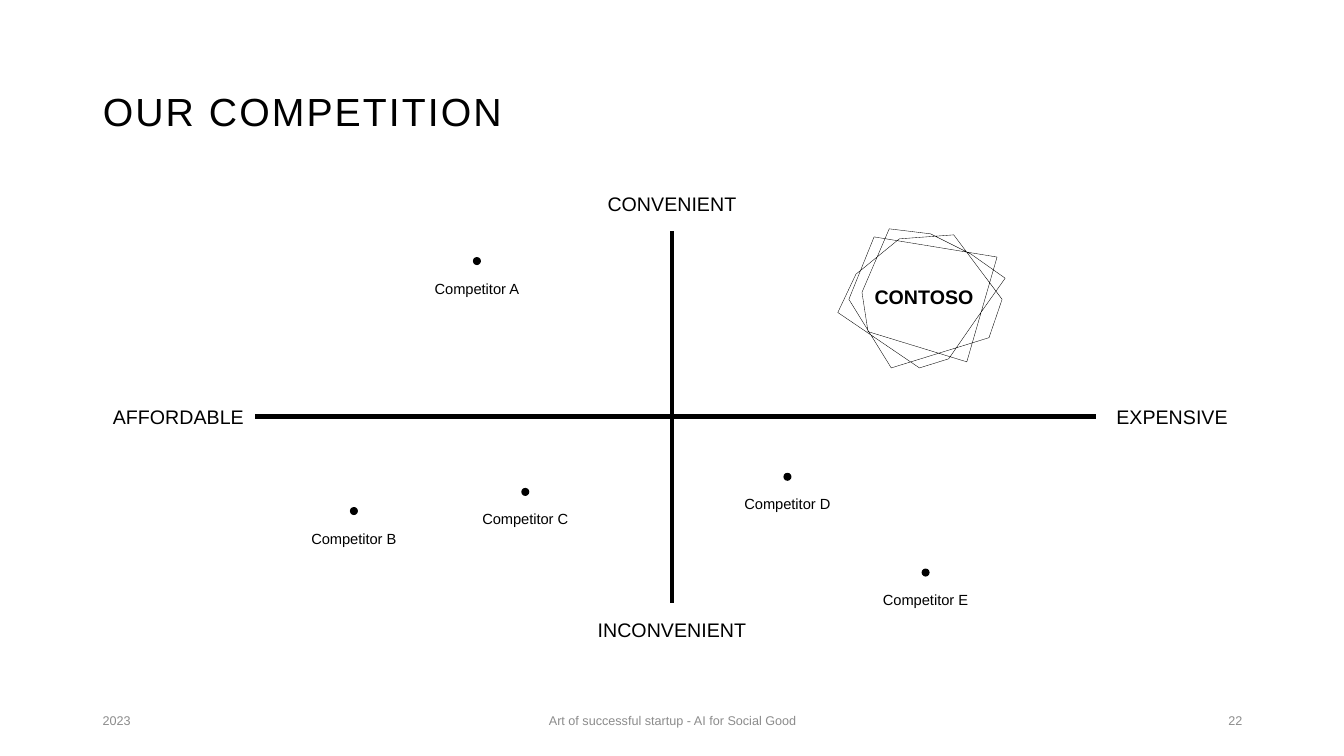
from lxml.etree import SubElement
from pptx import Presentation
from pptx.dml.color import RGBColor
from pptx.enum.shapes import MSO_CONNECTOR, MSO_SHAPE
from pptx.enum.text import MSO_ANCHOR, PP_ALIGN
from pptx.oxml.ns import qn
from pptx.util import Inches, Pt

BLACK = RGBColor(0x00, 0x00, 0x00)
GRAY = RGBColor(0x8C, 0x8C, 0x8C)

COMPETITORS = [
    ("Competitor A", 4.73, 2.59),
    ("Competitor B", 3.51, 5.07),
    ("Competitor C", 5.21, 4.88),
    ("Competitor D", 7.81, 4.73),
    ("Competitor E", 9.18, 5.68),
]

FOOTER = [
    ("2023", 0.92, 3, PP_ALIGN.LEFT),
    ("Art of successful startup - AI for Social Good", 4.42, 4.5, PP_ALIGN.CENTER),
    ("22", 9.42, 3, PP_ALIGN.RIGHT),
]

EMBLEM = [
    (8.92, 2.37), (8.54, 2.68), (8.49, 2.72), (8.31, 3.1), (9.12, 3.65), (9.41, 3.56),
    (9.68, 3.17), (9.97, 2.76), (9.63, 2.52), (9.23, 2.32), (8.82, 2.27), (8.55, 2.9),
    (8.61, 3.29), (9.59, 3.59), (9.89, 2.55), (8.67, 2.35), (8.42, 2.97), (8.84, 3.65),
    (9.81, 3.35), (9.94, 2.97), (9.46, 2.33),
]


class PositioningSlide:
    font_name = "Arial"
    label_size = 14
    competitor_size = 10.5
    footer_size = 9
    label_height = 0.54
    dot_size = 0.08

    def __init__(self, presentation):
        self.slide = presentation.slides.add_slide(presentation.slide_layouts[5])
        self.shapes = self.slide.shapes

    def add_text(self, frame, text, size, color=BLACK, align=PP_ALIGN.CENTER, bold=False):
        frame.word_wrap = True
        frame.vertical_anchor = MSO_ANCHOR.MIDDLE
        paragraph = frame.paragraphs[0]
        paragraph.alignment = align
        run = paragraph.add_run()
        run.text = text
        run.font.name = self.font_name
        run.font.size = Pt(size)
        run.font.bold = bold
        run.font.color.rgb = color
        return run

    def title(self, text):
        heading = self.shapes.title
        heading.left, heading.top = Inches(0.92), Inches(0.4)
        heading.width, heading.height = Inches(11.5), Inches(1.45)
        run = self.add_text(heading.text_frame, text, 28, align=PP_ALIGN.LEFT)
        run.font._element.set("spc", "150")
        heading.text_frame.paragraphs[0].line_spacing = 0.9

    def label(self, text, left, top, width, height=label_height, size=label_size, **style):
        box = self.shapes.add_textbox(Inches(left), Inches(top), Inches(width), Inches(height))
        self.add_text(box.text_frame, text, size, **style)
        return box

    def axis(self, start_label, start_side, end_label, end_side):
        """Draw a thick line between the facing sides of two labels."""
        line = self.shapes.add_connector(MSO_CONNECTOR.STRAIGHT, 0, 0, 0, 0)
        line.begin_connect(start_label, start_side)
        line.end_connect(end_label, end_side)
        line.line.color.rgb = BLACK
        line.line.width = Pt(3.5)
        SubElement(line._element.spPr, qn("a:effectLst"))

    def competitor(self, name, x, y):
        """Put a dot centred on x, y with its name below."""
        corner = self.dot_size / 2
        dot = self.shapes.add_shape(
            MSO_SHAPE.OVAL, Inches(x - corner), Inches(y - corner),
            Inches(self.dot_size), Inches(self.dot_size))
        dot.shadow.inherit = False
        dot.fill.solid()
        dot.fill.fore_color.rgb = BLACK
        dot.line.fill.background()
        width = 1.29
        self.label(name, x - width / 2, y, width, size=self.competitor_size)

    def outline(self, points):
        corners = [(Inches(x), Inches(y)) for x, y in points]
        builder = self.shapes.build_freeform(*corners[0])
        builder.add_line_segments(corners[1:], close=True)
        emblem = builder.convert_to_shape()
        emblem.shadow.inherit = False
        emblem.fill.background()
        emblem.line.color.rgb = BLACK
        emblem.line.width = Pt(0.25)

    def footer(self, text, left, width, align):
        self.label(text, left, 6.95, width, 0.4, self.footer_size, color=GRAY, align=align)


def main():
    presentation = Presentation()
    presentation.slide_width = Inches(13.33)
    presentation.slide_height = Inches(7.5)

    page = PositioningSlide(presentation)
    page.title("OUR COMPETITION")

    convenient = page.label("CONVENIENT", 5.73, 1.75, 1.87)
    inconvenient = page.label("INCONVENIENT", 5.73, 5.98, 1.87)
    affordable = page.label("AFFORDABLE", 1.01, 3.86, 1.52)
    expensive = page.label("EXPENSIVE", 10.87, 3.86, 1.51)
    page.axis(affordable, 3, expensive, 1)
    page.axis(inconvenient, 0, convenient, 2)

    for name, x, y in COMPETITORS:
        page.competitor(name, x, y)
    page.outline(EMBLEM)
    page.label("CONTOSO", 8.23, 2.37, 1.87, 1.15, bold=True)

    for text, left, width, align in FOOTER:
        page.footer(text, left, width, align)

    presentation.save("out.pptx")


if __name__ == "__main__":
    main()
